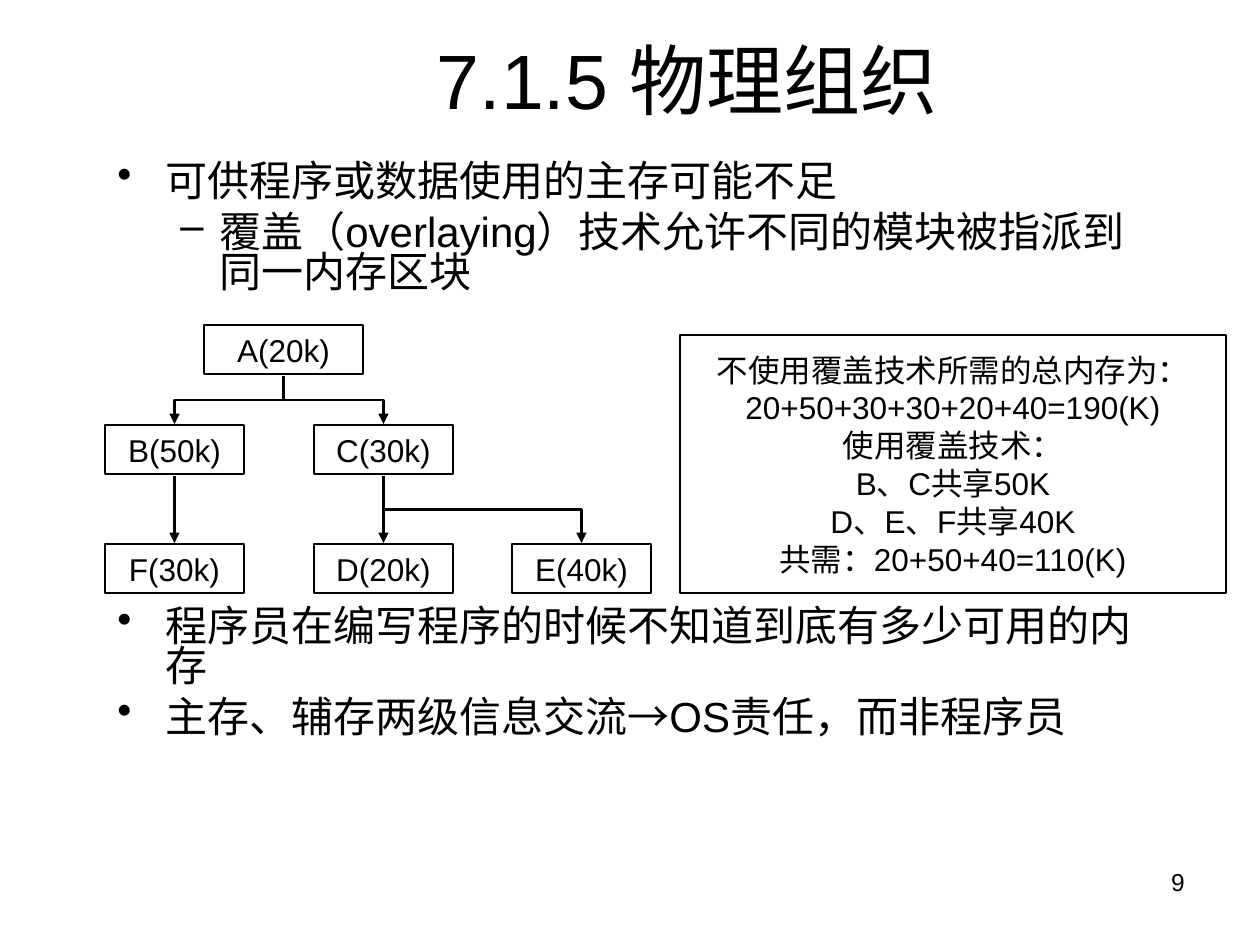
import pptx
import pptx.dml.color
import pptx.enum.shapes
import pptx.enum.text
import pptx.oxml
import pptx.oxml.ns
import pptx.util

PX = 914400 // 126
BLACK = pptx.dml.color.RGBColor(0, 0, 0)
FONT = "Arial"
ALIGN = pptx.enum.text.PP_ALIGN
ANCHOR = pptx.enum.text.MSO_ANCHOR
CONNECTOR = pptx.enum.shapes.MSO_CONNECTOR

NODE_W, NODE_H = 139, 49
NODES = {
    "A(20k)": (99, 0, 159),
    "B(50k)": (0, 100, NODE_W),
    "C(30k)": (209, 100, NODE_W),
    "F(30k)": (0, 219, NODE_W),
    "D(20k)": (209, 219, NODE_W),
    "E(40k)": (407, 219, NODE_W),
}
EDGES = ["AB", "AC", "BF", "CD", "CE"]
BULLETS = [
    (0, 0, "可供程序或数据使用的主存可能不足"),
    (1, 6, "覆盖（overlaying）技术允许不同的模块被指派到同一内存区块"),
    (0, 179, "程序员在编写程序的时候不知道到底有多少可用的内存"),
    (0, 6, "主存、辅存两级信息交流→OS责任，而非程序员"),
]
LEVELS = [("•", 48, -48), ("–", 102, -39)]
SUMMARY = [
    "不使用覆盖技术所需的总内存为：",
    "20+50+30+30+20+40=190(K)",
    "使用覆盖技术：",
    "B、C共享50K",
    "D、E、F共享40K",
    "共需：20+50+40=110(K)",
]


def px(*values):
    """Convert pixel lengths to EMU."""
    return [pptx.util.Emu(round(v * PX)) for v in values]


def add_run(p, text, size):
    """Add one black run to a paragraph."""
    r = p.add_run()
    r.text = text
    r.font.name = FONT
    r.font.size = pptx.util.Pt(size)
    r.font.color.rgb = BLACK


def add_lines(tf, lines, size, align):
    """Fill a text frame with one paragraph per line."""
    for i, line in enumerate(lines):
        p = tf.add_paragraph() if i else tf.paragraphs[0]
        p.alignment = align
        add_run(p, line, size)


def add_text(s, box, text, size, align, anchor):
    """Place a wrapped single-line text box."""
    tf = s.shapes.add_textbox(*px(*box)).text_frame
    tf.word_wrap = True
    tf.vertical_anchor = anchor
    add_lines(tf, [text], size, align)


def add_bullets(s, box):
    """Place the bulleted body text, leaving room for the diagram."""
    tf = s.shapes.add_textbox(*px(*box)).text_frame
    tf.word_wrap = True
    for i, (level, before, text) in enumerate(BULLETS):
        char, margin, indent = LEVELS[level]
        p = tf.add_paragraph() if i else tf.paragraphs[0]
        p.level = level
        p.line_spacing = 0.8
        p.space_before = pptx.util.Pt(before)
        pPr = p._p.get_or_add_pPr()
        pPr.set("marL", str(margin * PX))
        pPr.set("indent", str(indent * PX))
        bu = pptx.oxml.parse_xml(f'<a:buChar {pptx.oxml.ns.nsdecls("a")} char="{char}"/>')
        pPr.append(bu)
        add_run(p, text, 24)


def add_frame(s, box, lines):
    """Draw an outlined rectangle with centred lines of text."""
    sp = s.shapes.add_shape(pptx.enum.shapes.MSO_SHAPE.RECTANGLE, *px(*box))
    sp.shadow.inherit = False
    sp.fill.background()
    sp.line.color.rgb = BLACK
    sp.line.width = pptx.util.Pt(1.5)
    tf = sp.text_frame
    tf.word_wrap = False
    tf.vertical_anchor = ANCHOR.MIDDLE
    add_lines(tf, lines, 18, ALIGN.CENTER)


def add_arrow(s, x1, y1, x2, y2):
    """Draw a downward arrow, bent halfway when the ends are not aligned."""
    dx, dy = x2 - x1, y2 - y1
    if dx:
        cx, cy = (x1 + x2) / 2, (y1 + y2) / 2
        side = dy / 2 if dx > 0 else -dy / 2
        ends = (cx + side, cy - abs(dx) / 2, cx - side, cy + abs(dx) / 2)
        c = s.shapes.add_connector(CONNECTOR.ELBOW, *px(*ends))
        c._element.spPr.xfrm.set("rot", str((270 if dx > 0 else 90) * 60000))
    else:
        c = s.shapes.add_connector(CONNECTOR.STRAIGHT, *px(x1, y1, x2, y2))
    c.line.color.rgb = BLACK
    c.line.width = pptx.util.Pt(1.5)
    ns = pptx.oxml.ns.nsdecls("a")
    c.line._get_or_add_ln().append(pptx.oxml.parse_xml(f'<a:tailEnd {ns} type="triangle"/>'))
    c._element.spPr.append(pptx.oxml.parse_xml(f"<a:effectLst {ns}/>"))


def add_tree(s, left, top):
    """Draw the module tree from its top-left corner."""
    ports = {}
    for label, (x, y, w) in NODES.items():
        add_frame(s, (left + x, top + y, w, NODE_H), [label])
        ports[label[0]] = (left + x + w / 2, top + y)
    for parent, child in EDGES:
        (x1, y1), (x2, y2) = ports[parent], ports[child]
        add_arrow(s, x1, y1 + NODE_H + 2, x2, y2 - 1)


def main():
    """Build and save the slide."""
    prs = pptx.Presentation()
    prs.slide_width, prs.slide_height = px(1260, 945)
    s = prs.slides.add_slide(prs.slide_layouts[6])
    add_text(s, (903, 861, 294, 66), "9", 14, ALIGN.RIGHT, ANCHOR.TOP)
    add_text(s, (199, 0, 977, 158), "7.1.5 物理组织", 44, ALIGN.CENTER, ANCHOR.MIDDLE)
    add_bullets(s, (105, 158, 1061, 630))
    add_tree(s, 105, 325)
    add_frame(s, (680, 335, 546, 258), SUMMARY)
    prs.save("out.pptx")


if __name__ == "__main__":
    main()
